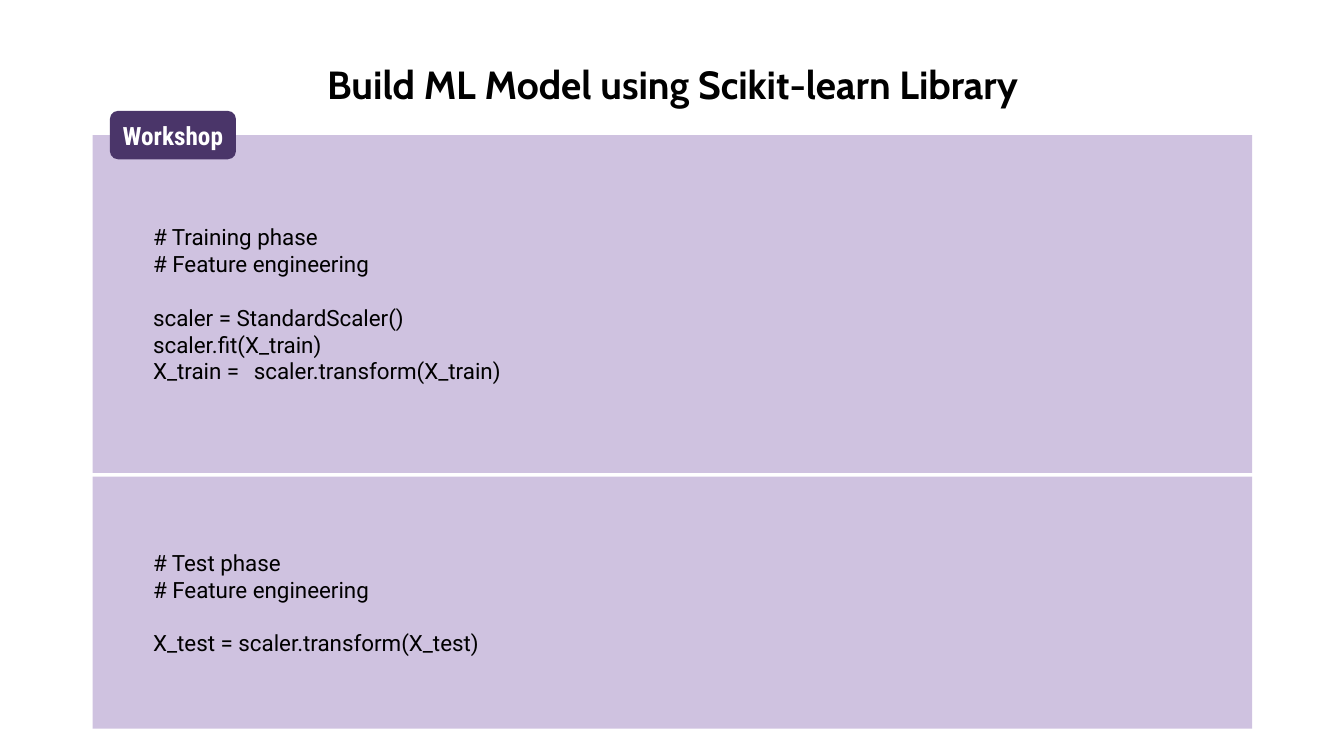
from pptx import Presentation
from pptx.dml.color import RGBColor
from pptx.enum.shapes import MSO_SHAPE
from pptx.enum.text import MSO_ANCHOR, PP_ALIGN
from pptx.oxml.ns import qn
from pptx.util import Inches, Pt
from lxml import etree

BLACK, WHITE = "000000", "FFFFFF"
LILAC, PURPLE = "A087C3", "4A3569"
LEFT, WIDTH = 0.92, 11.5

TRAINING = [
    ["# Training phase", "# Feature engineering"],
    ["scaler = StandardScaler()", "scaler.fit(X_train)",
     "X_train = \tscaler.transform(X_train)"],
]
TEST = [
    ["# Test phase", "# Feature engineering"],
    ["X_test = scaler.transform(X_test)"],
]


def rgb(color):
    return RGBColor.from_string(color)


def set_font(p, name, size, color, bold=False):
    p.font.name = name
    p.font.size = Pt(size)
    p.font.color.rgb = rgb(color)
    p.font.bold = bold


def add_title(slide, x, y, w, h, text):
    title = slide.shapes.title
    title.left, title.top, title.width, title.height = map(Inches, (x, y, w, h))
    tf = title.text_frame
    tf.text = text
    tf.vertical_anchor = MSO_ANCHOR.MIDDLE
    p = tf.paragraphs[0]
    p.alignment = PP_ALIGN.CENTER
    p.line_spacing = 0.9
    set_font(p, "Cabin", 28, BLACK, bold=True)


def add_box(slide, x, y, w, h, color, rounding):
    sp = slide.shapes.add_shape(MSO_SHAPE.ROUNDED_RECTANGLE,
                                Inches(x), Inches(y), Inches(w), Inches(h))
    sp.adjustments[0] = rounding
    sp.shadow.inherit = False
    sp.fill.solid()
    sp.fill.fore_color.rgb = rgb(color)
    sp.line.fill.background()
    tf = sp.text_frame
    tf.word_wrap = True
    tf.vertical_anchor = MSO_ANCHOR.MIDDLE
    tf.margin_left = tf.margin_right = Inches(0.1)
    tf.margin_top = tf.margin_bottom = Inches(0.1)
    return sp


def add_code_panel(slide, x, y, w, h, blocks):
    """Half-transparent panel of code, with a one-line gap between blocks."""
    sp = add_box(slide, x, y, w, h, LILAC, 0)
    fill_color = sp.fill._xPr.find(".//" + qn("a:srgbClr"))
    etree.SubElement(fill_color, qn("a:alpha"), val="50000")
    tf = sp.text_frame
    tf.text = "\n".join(line for block in blocks for line in block)
    for p in tf.paragraphs:
        p.level = 1
        p.alignment = PP_ALIGN.LEFT
        pPr = p._p.get_or_add_pPr()
        pPr.set("marL", str(Inches(0.5)))
        pPr.set("indent", "0")
        set_font(p, "Roboto", 16, BLACK)
    start = 0
    for block in blocks[:-1]:
        start += len(block)
        tf.paragraphs[start].space_before = Pt(19)


def add_tag(slide, x, y, w, h, text):
    tf = add_box(slide, x, y, w, h, PURPLE, 0.167).text_frame
    tf.text = text
    p = tf.paragraphs[0]
    p.alignment = PP_ALIGN.CENTER
    set_font(p, "Roboto Condensed", 18, WHITE, bold=True)


def main():
    prs = Presentation()
    prs.slide_width, prs.slide_height = Inches(13.33), Inches(7.5)
    slide = prs.slides.add_slide(prs.slide_layouts[5])
    add_title(slide, LEFT, 0.4, WIDTH, 0.93, "Build ML Model using Scikit-learn Library")
    add_code_panel(slide, LEFT, 1.34, WIDTH, 3.35, TRAINING)
    add_tag(slide, LEFT + 0.17, 1.1, 1.25, 0.48, "Workshop")
    add_code_panel(slide, LEFT, 4.73, WIDTH, 2.5, TEST)
    prs.save("out.pptx")


if __name__ == "__main__":
    main()
